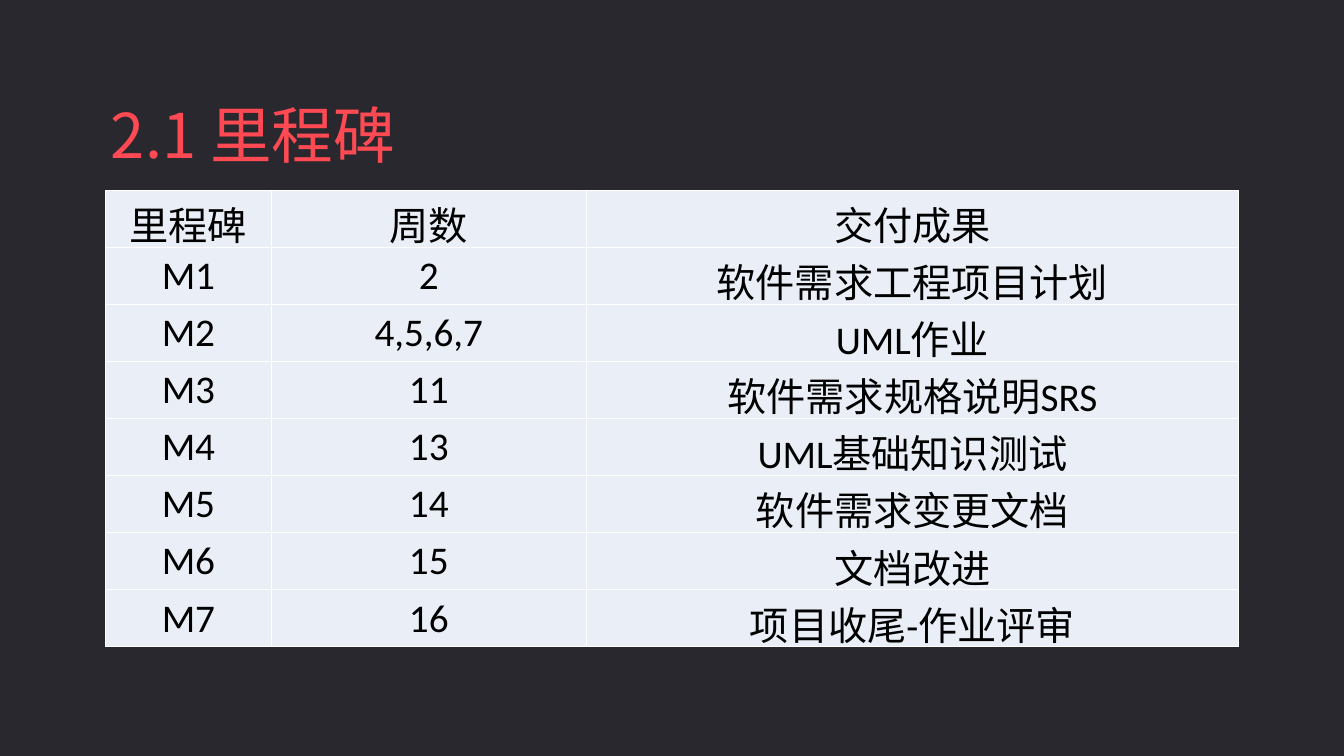
from lxml import etree
from pptx import Presentation
from pptx import util as u
from pptx.dml.color import RGBColor
from pptx.enum import text
from pptx.oxml import ns

# Content
TITLE = "2.1 里程碑"
ROWS = [
    ("里程碑", "周数", "交付成果"),
    ("M1", "2", "软件需求工程项目计划"),
    ("M2", "4,5,6,7", "UML作业"),
    ("M3", "11", "软件需求规格说明SRS"),
    ("M4", "13", "UML基础知识测试"),
    ("M5", "14", "软件需求变更文档"),
    ("M6", "15", "文档改进"),
    ("M7", "16", "项目收尾-作业评审"),
]
WIDTHS = [u.Cm(4.18), u.Cm(7.94), u.Cm(16.44)]
HIGH = u.Cm(1.18)

# Look
DARK = RGBColor(0x29, 0x28, 0x2E)
CORAL = RGBColor(0xFF, 0x4A, 0x53)
PALE = RGBColor(0xEA, 0xEF, 0xF7)
BLACK = RGBColor(0, 0, 0)
WHITE = RGBColor(0xFF, 0xFF, 0xFF)
HEAD_FONT = "Noto Sans CJK SC"
CELL_FONT = "Calibri"


def style(para, name, size, color, align):
    para.alignment = align
    font = para.font
    font.name, font.size, font.bold = name, u.Pt(size), False
    font.color.rgb = color


def border(cell, color, width):
    props = cell._tc.get_or_add_tcPr()
    for side in ("a:lnL", "a:lnR", "a:lnT", "a:lnB"):
        line = etree.SubElement(props, ns.qn(side), w=str(u.Pt(width)))
        fill = etree.SubElement(line, ns.qn("a:solidFill"))
        etree.SubElement(fill, ns.qn("a:srgbClr"), val=str(color))


def main():
    deck = Presentation()
    deck.slide_width, deck.slide_height = u.Cm(33.88), u.Cm(19.05)
    slide = deck.slides.add_slide(deck.slide_layouts[5])
    slide.background.fill.solid()
    slide.background.fill.fore_color.rgb = DARK

    # Title
    title = slide.shapes.title
    title.left, title.top = u.Cm(2.54), u.Cm(2.31)
    title.width, title.height = u.Cm(11.73), u.Cm(2.13)
    frame = title.text_frame
    frame.text = TITLE
    frame.auto_size = text.MSO_AUTO_SIZE.NONE
    frame.vertical_anchor = text.MSO_ANCHOR.MIDDLE
    style(frame.paragraphs[0], HEAD_FONT, 44, CORAL, text.PP_ALIGN.LEFT)
    # East Asian glyphs take the same face
    east = frame.paragraphs[0].runs[0]._r.get_or_add_rPr()
    etree.SubElement(east, ns.qn("a:ea"), typeface=HEAD_FONT)

    # Milestone table
    table = slide.shapes.add_table(
        len(ROWS), len(WIDTHS), u.Cm(2.66), u.Cm(4.79),
        sum(WIDTHS), HIGH * len(ROWS)).table
    table.first_row = table.horz_banding = False
    for col, width in zip(table.columns, WIDTHS):
        col.width = width
    for row, words in zip(table.rows, ROWS):
        row.height = HIGH
        for cell, word in zip(row.cells, words):
            cell.text = word
            cell.margin_left = cell.margin_right = u.Cm(0.2)
            # A negative lower margin keeps tall glyphs from stretching rows
            cell.margin_top, cell.margin_bottom = u.Cm(0.13), u.Cm(-0.12)
            style(cell.text_frame.paragraphs[0], CELL_FONT, 28, BLACK,
                  text.PP_ALIGN.CENTER)
            border(cell, WHITE, 0.45)
            cell.fill.solid()
            cell.fill.fore_color.rgb = PALE

    deck.save("out.pptx")


if __name__ == "__main__":
    main()
